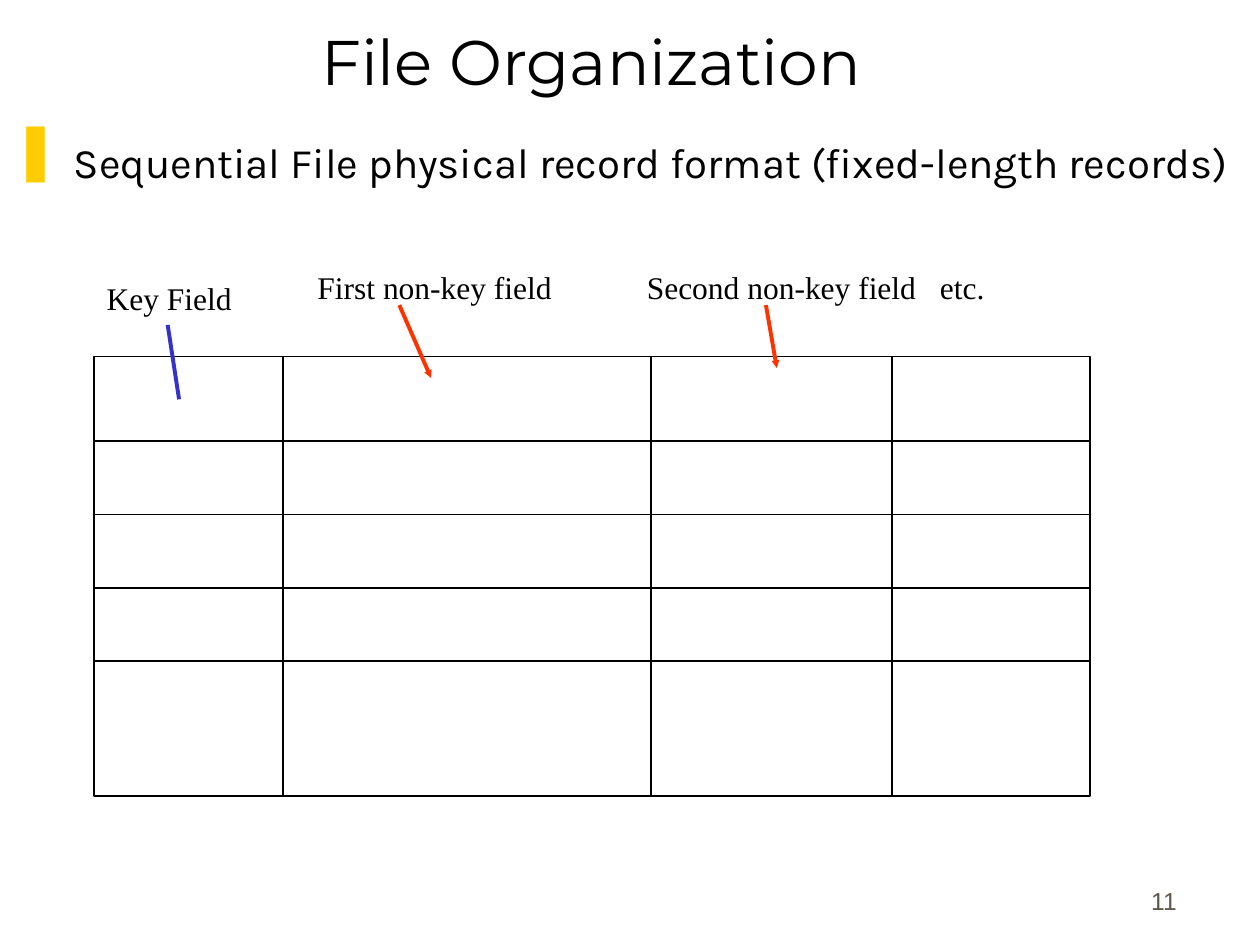
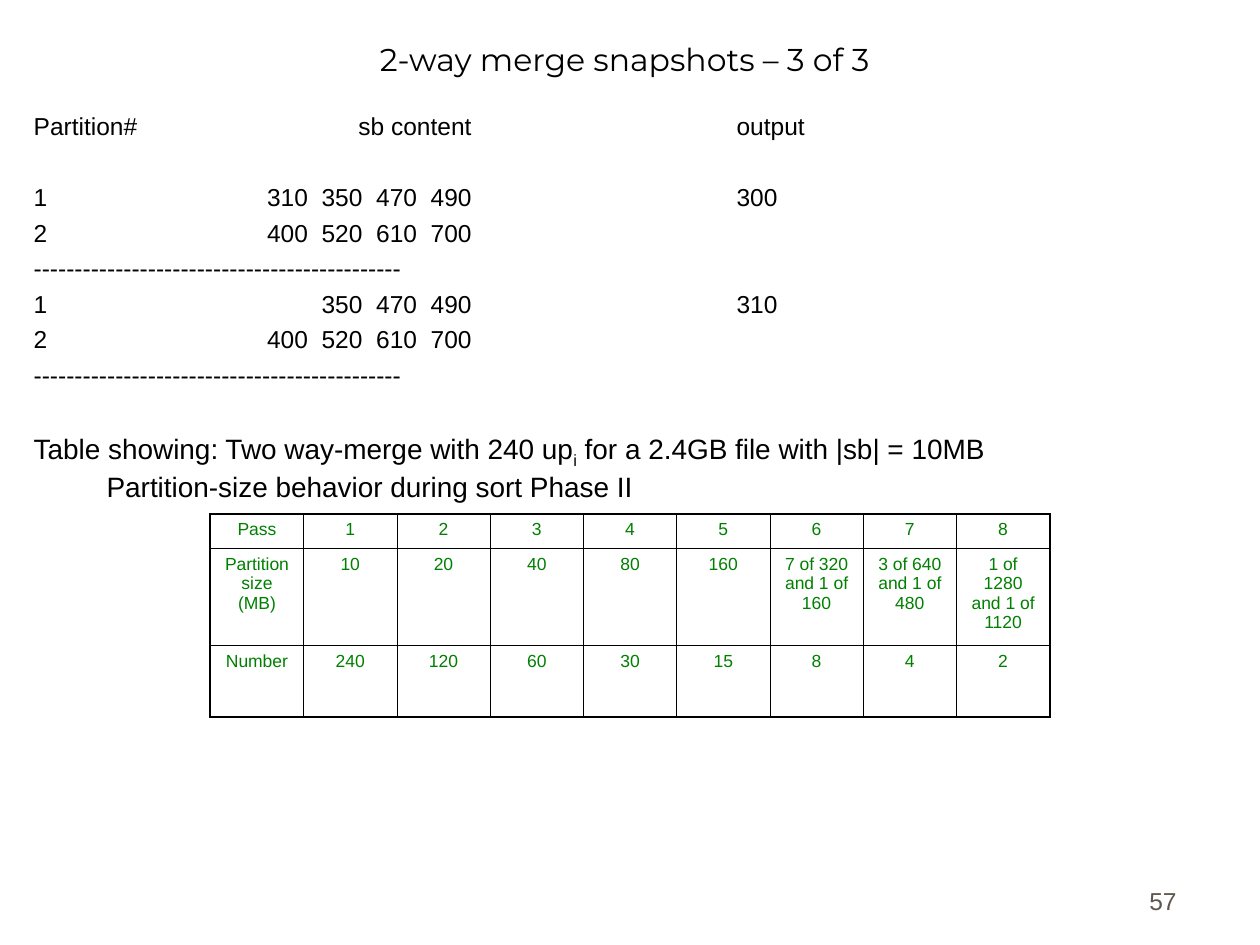
from lxml import etree
from pptx import Presentation
from pptx.dml.color import RGBColor
from pptx.enum.shapes import MSO_CONNECTOR, MSO_SHAPE
from pptx.enum.text import MSO_ANCHOR, MSO_AUTO_SIZE, PP_ALIGN
from pptx.oxml.ns import qn
from pptx.util import Cm, Pt

BLACK = RGBColor(0x00, 0x00, 0x00)
GREY = RGBColor(0x5E, 0x57, 0x4E)
YELLOW = RGBColor(0xFF, 0xCC, 0x00)
RED = RGBColor(0xFF, 0x33, 0x00)
BLUE = RGBColor(0x33, 0x33, 0xCC)
GREEN = RGBColor(0x00, 0x80, 0x00)

TITLE_FONT, BULLET_FONT = "Montserrat", "Karla"
PLAIN_FONT, LABEL_FONT = "Arial", "Times New Roman"

LEFT, CENTER, RIGHT = PP_ALIGN.LEFT, PP_ALIGN.CENTER, PP_ALIGN.RIGHT
TOP, BOTTOM = MSO_ANCHOR.TOP, MSO_ANCHOR.BOTTOM
NO_AUTOFIT = MSO_AUTO_SIZE.NONE
STRAIGHT = MSO_CONNECTOR.STRAIGHT
RECTANGLE = MSO_SHAPE.RECTANGLE

TITLE_ONLY = 5
PAGE_NUMBER_BOX = (18.69, 17.3, 5.28, 1.27)
THIN, THICK = 0.45, 1.08


def cm(*lengths):
    return [Cm(length) for length in lengths]


def add_xml(parent, tag, **attributes):
    return etree.SubElement(parent, qn(tag), attributes)


def style(paragraph, font, size, color=BLACK, align=LEFT, before=0):
    paragraph.alignment = align
    paragraph.space_before = Pt(before)
    paragraph.font.name = font
    paragraph.font.size = Pt(size)
    paragraph.font.color.rgb = color


def set_tabs(paragraph, stops):
    tab_list = add_xml(paragraph._p.get_or_add_pPr(), "a:tabLst")
    for position, align in stops:
        add_xml(tab_list, "a:tab", pos=str(Cm(position)), algn=align)


def set_indent(paragraph, hanging):
    properties = paragraph._p.get_or_add_pPr()
    properties.set("marL", str(Cm(hanging)))
    properties.set("indent", str(-Cm(hanging)))
    return properties


def add_frame(slide, box, anchor=TOP):
    frame = slide.shapes.add_textbox(*cm(*box)).text_frame
    frame.word_wrap = True
    frame.vertical_anchor = anchor
    return frame


def add_label(slide, box, text, tabs=()):
    paragraph = add_frame(slide, box).paragraphs[0]
    paragraph.text = text
    if tabs:
        set_tabs(paragraph, tabs)
    style(paragraph, LABEL_FONT, 18)


def add_line(slide, start, end, color=BLACK, width=0.99, arrow=False):
    connector = slide.shapes.add_connector(STRAIGHT, *cm(*start, *end))
    connector.line.color.rgb = color
    connector.line.width = Pt(width)
    if arrow:
        add_xml(connector.line._get_or_add_ln(), "a:tailEnd",
                type="triangle", w="sm", len="sm")
    add_xml(connector._element.spPr, "a:effectLst")


def new_slide(presentation, title, title_box, title_size, page):
    slide = presentation.slides.add_slide(presentation.slide_layouts[TITLE_ONLY])
    shape = slide.shapes.title
    shape.left, shape.top, shape.width, shape.height = cm(*title_box)
    frame = shape.text_frame
    frame.text = title
    frame.auto_size = NO_AUTOFIT
    frame.vertical_anchor = BOTTOM
    style(frame.paragraphs[0], TITLE_FONT, title_size, align=CENTER)

    number = add_frame(slide, PAGE_NUMBER_BOX, BOTTOM).paragraphs[0]
    number.text = page
    style(number, PLAIN_FONT, 14, GREY, RIGHT)
    return slide


def add_bullet(slide, box, text):
    paragraph = add_frame(slide, box).paragraphs[0]
    properties = set_indent(paragraph, 0.97)
    bullet_color = add_xml(properties, "a:buClr")
    add_xml(bullet_color, "a:srgbClr", val=str(YELLOW))
    add_xml(properties, "a:buChar", char="\u275a")
    style(paragraph, BULLET_FONT, 32, before=6)
    paragraph.add_run().text = " "
    run = paragraph.add_run()
    run.text = text
    run.font.size = Pt(24)


def add_grid(slide, left, top, width, height, columns, rows):
    frame = slide.shapes.add_shape(RECTANGLE, *cm(left, top, width, height))
    frame.shadow.inherit = False
    frame.fill.background()
    frame.line.color.rgb = BLACK
    frame.line.width = Pt(0.99)
    for x in columns:
        add_line(slide, (left + x, top), (left + x, top + height))
    for y in rows:
        add_line(slide, (left, top + y), (left + width, top + y))


def add_record_format(slide, left, top):
    add_label(slide, (left, top + 0.23, 3.5, 1.02), "Key Field")
    add_grid(slide, left, top + 1.91, 20.07, 8.86,
             columns=(3.81, 11.23, 16.08),
             rows=[1.7 + 1.48 * step for step in range(4)])
    add_label(slide, (left + 4.25, top, 15.44, 1.02),
              "First non-key field\tSecond non-key field\tetc.",
              [(6.64, "l"), (12.55, "l")])
    pointers = [
        (6.15, 0.87, 6.79, 2.34, RED, True),
        (13.54, 0.87, 13.76, 2.14, RED, True),
        (1.48, 1.27, 1.71, 2.77, BLUE, False),
    ]
    for x1, y1, x2, y2, color, arrow in pointers:
        add_line(slide, (left + x1, top + y1), (left + x2, top + y2),
                 color, 2.24, arrow)


def add_snapshots(slide, box):
    content_end, number_step = 8.83, 1.1
    line_gap, block_gap = 3.5, 24
    output_stop = (14.17, "l")
    header_tabs = [(content_end, "r"), output_stop]
    number_tabs = [(content_end - number_step * back, "r")
                   for back in (3, 2, 1, 0)] + [output_stop]
    second_partition = "2\t400\t520\t610\t700"
    divider = "-" * 45
    lines = [
        ("Partition#\tsb content\toutput", header_tabs, line_gap),
        ("1\t310\t350\t470\t490\t300", number_tabs, block_gap),
        (second_partition, number_tabs, line_gap),
        (divider, (), line_gap),
        ("1\t\t350\t470\t490\t310", number_tabs, line_gap),
        (second_partition, number_tabs, line_gap),
        (divider, (), line_gap),
    ]
    frame = add_frame(slide, box)
    paragraph = frame.paragraphs[0]
    for text, tabs, before in lines:
        paragraph.text = text
        if tabs:
            set_tabs(paragraph, tabs)
        style(paragraph, PLAIN_FONT, 14, before=before)
        paragraph = frame.add_paragraph()

    set_indent(paragraph, 1.47)
    style(paragraph, PLAIN_FONT, 16, before=block_gap)
    paragraph.add_run().text = "Table showing: Two way-merge with 240 up"
    subscript = paragraph.add_run()
    subscript.text = "i"
    subscript.font._element.set("baseline", "-25000")
    paragraph.add_run().text = " for a 2.4GB file with |sb| = 10MB"
    paragraph.add_line_break()
    paragraph.add_run().text = "Partition-size behavior during sort Phase II"


def set_borders(cell, widths):
    properties = cell._tc.get_or_add_tcPr()
    for index, (side, width) in enumerate(zip("LRTB", widths)):
        line = etree.Element(qn("a:ln" + side), w=str(Pt(width)))
        fill = add_xml(line, "a:solidFill")
        add_xml(fill, "a:srgbClr", val=str(BLACK))
        properties.insert(index, line)


def add_pass_table(slide, left, top, column_width, row_heights, rows):
    row_count, column_count = len(rows), len(rows[0])
    table = slide.shapes.add_table(
        row_count, column_count,
        *cm(left, top, column_width * column_count, sum(row_heights))).table
    table.first_row = table.horz_banding = False
    for column in table.columns:
        column.width = Cm(column_width)
    for r, values in enumerate(rows):
        table.rows[r].height = Cm(row_heights[r])
        for c, value in enumerate(values):
            cell = table.cell(r, c)
            cell.text = value
            cell.fill.background()
            style(cell.text_frame.paragraphs[0], PLAIN_FONT, 10, GREEN, CENTER)
            outer = (c == 0, c == column_count - 1, r == 0, r == row_count - 1)
            set_borders(cell, [THICK if edge else THIN for edge in outer])


def build_file_organization(presentation):
    slide = new_slide(presentation, "File Organization",
                      (1.12, 0.64, 21.59, 1.47), 36, "11")
    add_bullet(slide, (0, 2.34, 25.4, 14.5),
               "Sequential File physical record format (fixed-length records)")
    add_record_format(slide, 1.9, 5.28)


def build_merge_snapshots(presentation):
    slide = new_slide(presentation, "2-way merge snapshots – 3 of 3",
                      (0.43, 0.43, 24.33, 1.27), 18, "57")
    add_snapshots(slide, (0.43, 2.11, 24.33, 15.24))
    add_pass_table(slide, 4.24, 10.36, 1.88, (0.69, 1.96, 1.45), [
        ["Pass", "1", "2", "3", "4", "5", "6", "7", "8"],
        ["Partition size (MB)", "10", "20", "40", "80", "160",
         "7 of 320 and 1 of 160", "3 of 640 and 1 of 480",
         "1 of 1280 and 1 of 1120"],
        ["Number", "240", "120", "60", "30", "15", "8", "4", "2"],
    ])


presentation = Presentation()
presentation.slide_width, presentation.slide_height = cm(25.4, 19.05)
build_file_organization(presentation)
build_merge_snapshots(presentation)
presentation.save("out.pptx")
